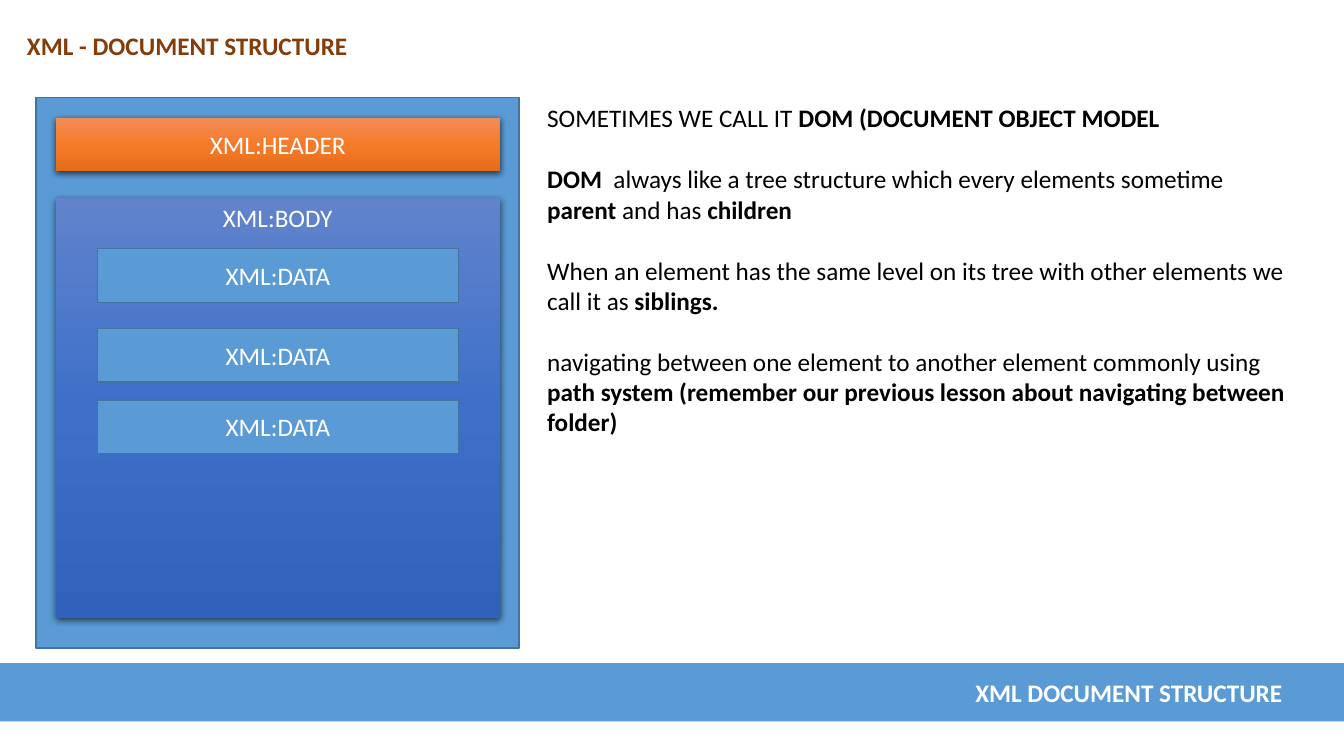
"""Build the slide on the structure of an XML document."""
from copy import deepcopy
from dataclasses import dataclass

from lxml import etree
from pptx import Presentation
from pptx.dml.color import RGBColor
from pptx.enum.shapes import MSO_SHAPE
from pptx.enum.text import MSO_ANCHOR, MSO_AUTO_SIZE, PP_ALIGN
from pptx.oxml.ns import qn
from pptx.util import Cm, Pt

RECT, ROUNDED = MSO_SHAPE.RECTANGLE, MSO_SHAPE.ROUNDED_RECTANGLE
LEFT, CENTER, RIGHT = PP_ALIGN.LEFT, PP_ALIGN.CENTER, PP_ALIGN.RIGHT
TOP, MIDDLE = MSO_ANCHOR.TOP, MSO_ANCHOR.MIDDLE
GROW = MSO_AUTO_SIZE.SHAPE_TO_FIT_TEXT


@dataclass(frozen=True)
class Theme:
    font: str = "Calibri"
    size: int = 18
    gap: int = 22
    blue: str = "5B9BD5"
    outline: str = "43739E"
    brown: str = "843C0B"
    white: str = "FFFFFF"
    black: str = "000000"
    header: tuple = ("F18C57", "F67B28", "E56C19")
    body: tuple = ("6183CB", "3E70CA", "3062BB")


class SlideBuilder:
    def __init__(self, slide, theme):
        self.s = slide
        self.theme = theme

    def add_runs(self, p, runs, color, align=LEFT):
        p.alignment = align
        for text, bold in runs:
            r = p.add_run()
            r.text = text
            r.font.name = self.theme.font
            r.font.size = Pt(self.theme.size)
            r.font.bold = bold
            r.font.color.rgb = RGBColor.from_string(color)

    def shape(self, box, kind=RECT, fill=None, line=None):
        sp = self.s.shapes.add_shape(kind, *map(Cm, box))
        sp.shadow.inherit = False
        if fill:
            sp.fill.solid()
            sp.fill.fore_color.rgb = RGBColor.from_string(fill)
        else:
            sp.fill.background()
        if line:
            sp.line.color.rgb = RGBColor.from_string(line)
            sp.line.width = Pt(1)
        else:
            sp.line.fill.background()
        return sp

    def label(self, sp, text, color, align=CENTER, bold=False, anchor=MIDDLE):
        tf = sp.text_frame
        tf.vertical_anchor = anchor
        self.add_runs(tf.paragraphs[0], [(text, bold)], color, align)

    def raised_panel(self, box, colors):
        sp = self.shape(box)
        sp.fill.gradient()
        sp.fill.gradient_angle = 270
        stops = sp._element.spPr.find(qn("a:gradFill")).find(qn("a:gsLst"))
        stops.append(deepcopy(stops[-1]))
        for i, (stop, color) in enumerate(zip(sp.fill.gradient_stops, colors)):
            stop.position = i / 2
            stop.color.rgb = RGBColor.from_string(color)
        effects = sp._element.spPr.find(qn("a:effectLst"))
        shadow = etree.SubElement(effects, qn("a:outerShdw"), blurRad=str(Pt(4.5)),
                                  dist=str(Pt(1.5)), dir="5400000",
                                  algn="ctr", rotWithShape="0")
        color = etree.SubElement(shadow, qn("a:srgbClr"), val=self.theme.black)
        etree.SubElement(color, qn("a:alpha"), val="63000")
        return sp

    def text_box(self, box, paragraphs):
        tf = self.s.shapes.add_textbox(*map(Cm, box)).text_frame
        tf.word_wrap = True
        tf.auto_size = GROW
        for i, (spaced, runs) in enumerate(paragraphs):
            p = tf.add_paragraph() if i else tf.paragraphs[0]
            p.space_before = Pt(self.theme.gap if spaced else 0)
            self.add_runs(p, runs, self.theme.black)


NOTES = [
    (False, [("SOMETIMES WE CALL IT ", False), ("DOM (DOCUMENT OBJECT MODEL", True)]),
    (True, [("DOM ", True),
            (" always like a tree structure which every elements sometime", False)]),
    (False, [("parent", True), (" and has ", False), ("children", True)]),
    (True, [("When an element has the same level on its tree with other elements "
             "we call it as ", False), ("siblings.", True)]),
    (True, [("navigating between one element to another element commonly using ", False),
            ("path system (remember our previous lesson about navigating between "
             "folder)", True)]),
]


def main():
    prs = Presentation()
    prs.slide_width, prs.slide_height = Cm(33.87), Cm(19.05)
    theme = Theme()
    b = SlideBuilder(prs.slides.add_slide(prs.slide_layouts[6]), theme)

    b.shape((-0.05, 16.71, 33.96, 1.47), fill=theme.blue)
    title = b.shape((0.36, 0.41, 30.48, 1.47), ROUNDED)
    b.label(title, "XML - DOCUMENT STRUCTURE", theme.brown, LEFT, True)
    footer = b.shape((2.16, 16.71, 30.48, 1.47), ROUNDED)
    b.label(footer, "XML DOCUMENT STRUCTURE", theme.white, RIGHT, True)

    b.shape((0.91, 2.46, 12.17, 13.87), fill=theme.blue, line=theme.outline)
    header = b.raised_panel((1.4, 2.97, 11.2, 1.35), theme.header)
    b.label(header, "XML:HEADER", theme.white)
    body = b.raised_panel((1.4, 4.98, 11.2, 10.59), theme.body)
    b.label(body, "XML:BODY", theme.white, anchor=TOP)
    for top in (6.27, 8.28, 10.08):
        data = b.shape((2.46, top, 9.09, 1.35), fill=theme.blue, line=theme.outline)
        b.label(data, "XML:DATA", theme.white)

    b.text_box((13.54, 2.46, 19.51, 9.47), NOTES)
    prs.save("out.pptx")


if __name__ == "__main__":
    main()
